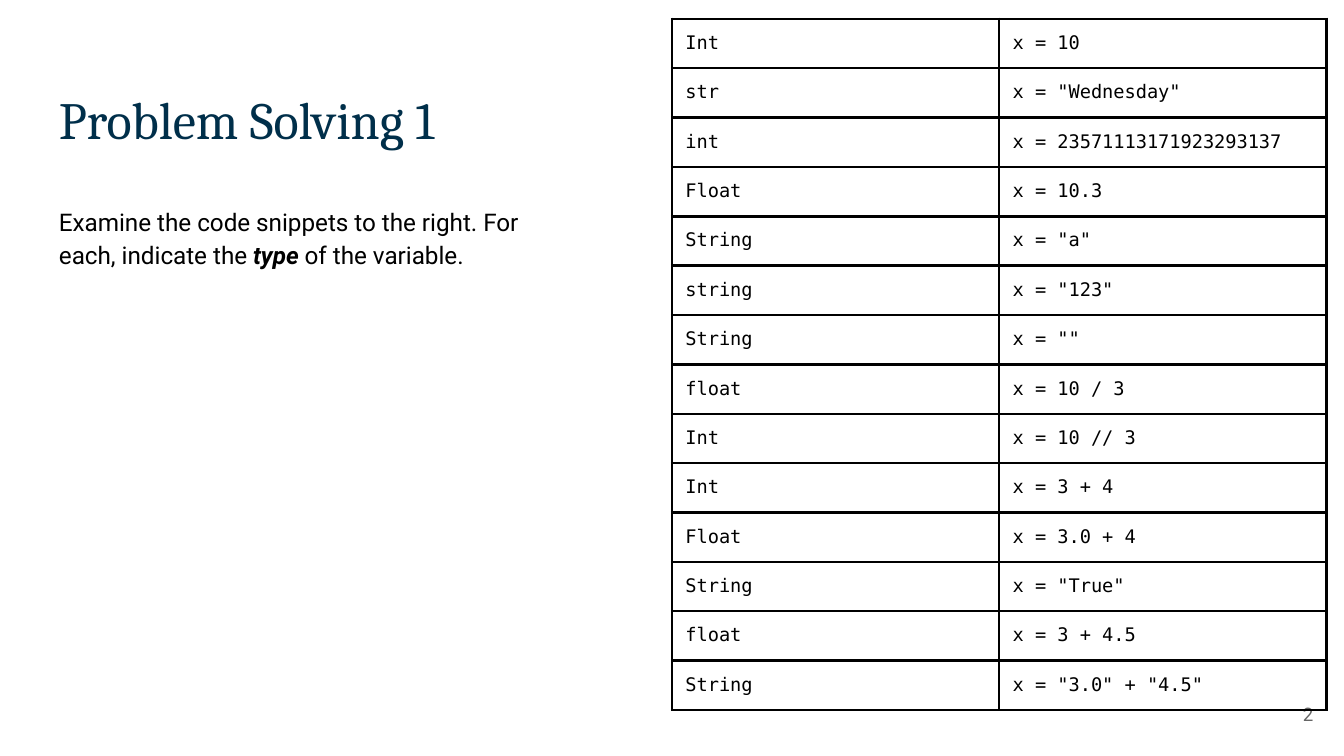
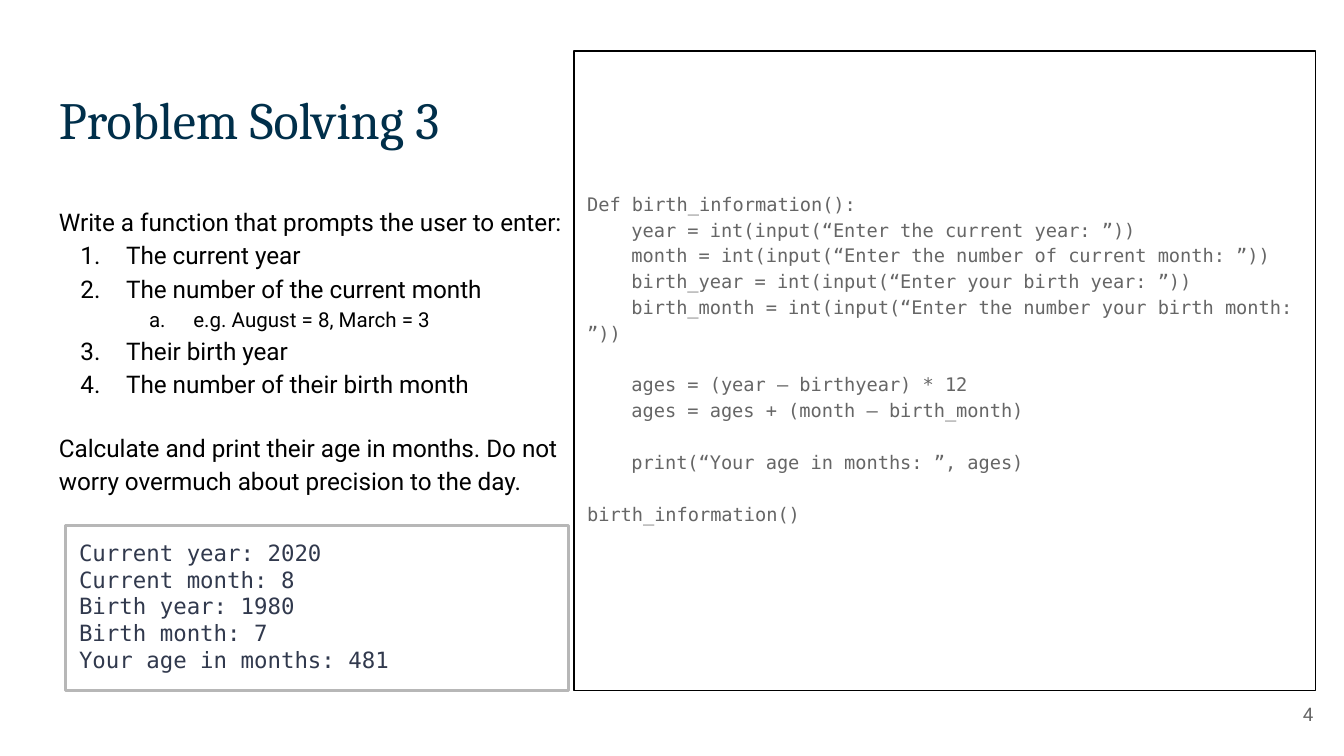
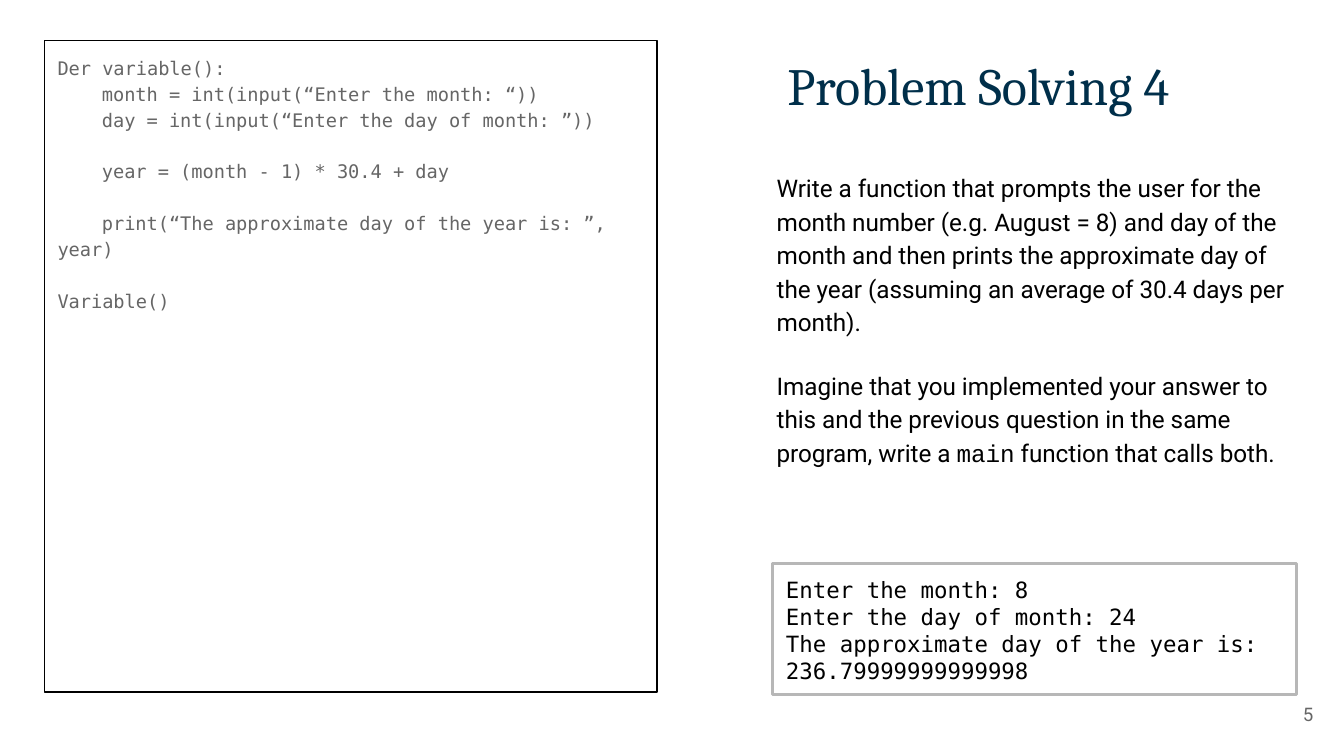
from lxml import etree
from pptx import Presentation
from pptx.dml.color import RGBColor
from pptx.enum.shapes import MSO_SHAPE
from pptx.enum.text import MSO_ANCHOR, PP_ALIGN
from pptx.oxml.ns import qn
from pptx.util import Inches, Pt

RECTANGLE = MSO_SHAPE.RECTANGLE
TOP, MIDDLE = MSO_ANCHOR.TOP, MSO_ANCHOR.MIDDLE
LEFT, RIGHT = PP_ALIGN.LEFT, PP_ALIGN.RIGHT

WHITE = RGBColor(0xFF, 0xFF, 0xFF)
BLACK = RGBColor(0x00, 0x00, 0x00)
NAVY = RGBColor(0x00, 0x2F, 0x4A)
SLATE = RGBColor(0x31, 0x39, 0x4D)
GRAY = RGBColor(0x66, 0x66, 0x66)
SILVER = RGBColor(0xB7, 0xB7, 0xB7)

TITLE_FONT = "Cambria"
BODY_FONT = "Roboto"
CODE_FONT = "DejaVu Sans Mono"
INLINE_CODE_FONT = "Courier New"

SLIDE_WIDTH = Inches(10)
SLIDE_HEIGHT = SLIDE_WIDTH * 9 // 16
PADDING = 0.1
COLUMN_WIDTH = 4.05
BODY_SPACING = 1.15
PARAGRAPH_GAP = 16
CODE_INDENT = 0.33
CODE_GAP = 13.9

TYPE_ROWS = [
    ("Int", "x = 10"),
    ("str", 'x = "Wednesday"'),
    ("int", "x = 23571113171923293137"),
    ("Float", "x = 10.3"),
    ("String", 'x = "a"'),
    ("string", 'x = "123"'),
    ("String", 'x = ""'),
    ("float", "x = 10 / 3"),
    ("Int", "x = 10 // 3"),
    ("Int", "x = 3 + 4"),
    ("Float", "x = 3.0 + 4"),
    ("String", 'x = "True"'),
    ("float", "x = 3 + 4.5"),
    ("String", 'x = "3.0" + "4.5"'),
]

# Code lines are (indent level, blank lines before, text).
BIRTH_CODE = [
    (0, 0, "Def birth_information():"),
    (1, 0, "year = int(input(“Enter the current year: ”))"),
    (1, 0, "month = int(input(“Enter the number of current month: ”))"),
    (1, 0, "birth_year = int(input(“Enter your birth year: ”))"),
    (1, 0, "birth_month = int(input(“Enter the number your birth month: ”))"),
    (1, 1, "ages = (year – birthyear) * 12"),
    (1, 0, "ages = ages + (month – birth_month)"),
    (1, 1, "print(“Your age in months: ”, ages)"),
    (0, 1, "birth_information()"),
]
DAY_CODE = [
    (0, 0, "Der variable():"),
    (1, 0, "month = int(input(“Enter the month: “))"),
    (1, 0, "day = int(input(“Enter the day of month: ”))"),
    (1, 1, "year = (month - 1) * 30.4 + day"),
    (1, 1, "print(“The approximate day of the year is: ”, year)"),
    (0, 1, "Variable()"),
]


def set_padding(target, top=PADDING):
    """Set the inner margins of a text frame or a table cell."""
    target.margin_left = target.margin_right = target.margin_bottom = Inches(PADDING)
    target.margin_top = Inches(top)


def prepare_frame(shape, anchor=TOP, top=PADDING):
    frame = shape.text_frame
    frame.word_wrap = True
    frame.vertical_anchor = anchor
    set_padding(frame, top)
    return frame


def add_text_box(slide, box, anchor=TOP):
    return prepare_frame(slide.shapes.add_textbox(*map(Inches, box)), anchor)


def add_panel(slide, box, line_color, line_width, fill=None, top=PADDING):
    """Add an outlined rectangle and return its text frame."""
    panel = slide.shapes.add_shape(RECTANGLE, *map(Inches, box))
    panel.shadow.inherit = False
    if fill is None:
        panel.fill.background()
    else:
        panel.fill.solid()
        panel.fill.fore_color.rgb = fill
    panel.line.color.rgb = line_color
    panel.line.width = Pt(line_width)
    return prepare_frame(panel, top=top)


def next_paragraph(frame, spacing=None, before=0, after=0, align=LEFT):
    """Return the unused first paragraph of a frame, or a new one."""
    first = frame.paragraphs[0]
    paragraph = frame.add_paragraph() if first.runs else first
    paragraph.alignment = align
    paragraph.line_spacing = spacing
    paragraph.space_before = Pt(before)
    paragraph.space_after = Pt(after)
    return paragraph


def add_run(paragraph, text, size, font, color, emphasis=False):
    run = paragraph.add_run()
    run.text = text
    run.font.size = Pt(size)
    run.font.name = font
    run.font.color.rgb = color
    run.font.bold = run.font.italic = emphasis


def add_body_run(paragraph, text, size=13, font=BODY_FONT, emphasis=False):
    add_run(paragraph, text, size, font, BLACK, emphasis)


def indent_paragraph(paragraph, margin, first_line):
    properties = paragraph._p.get_or_add_pPr()
    properties.set("marL", str(Inches(margin)))
    properties.set("indent", str(Inches(first_line)))
    return properties


def add_color(parent, color):
    etree.SubElement(parent, qn("a:srgbClr")).set("val", str(color))


def add_numbered(frame, text, level=0):
    paragraph = next_paragraph(frame, BODY_SPACING)
    paragraph.level = level
    properties = indent_paragraph(paragraph, 0.5 * (level + 1), (-0.34, -0.33)[level])
    add_color(etree.SubElement(properties, qn("a:buClr")), BLACK)
    numbering = etree.SubElement(properties, qn("a:buAutoNum"))
    numbering.set("type", ("arabicPeriod", "alphaLcPeriod")[level])
    add_body_run(paragraph, text, (13, 11)[level])


def add_title(slide, left, top, text):
    frame = add_text_box(slide, (left, top, COLUMN_WIDTH, 0.7))
    add_run(next_paragraph(frame), text, 28, TITLE_FONT, NAVY)


def add_page_number(slide, number):
    frame = add_text_box(slide, (9.27, 5.1, 0.6, 0.43), MIDDLE)
    add_run(next_paragraph(frame, align=RIGHT), str(number), 10, BODY_FONT, GRAY)


def add_code_panel(slide, box, code, top=PADDING):
    frame = add_panel(slide, box, BLACK, 0.75, top=top)
    for level, blank_lines, text in code:
        paragraph = next_paragraph(frame, BODY_SPACING, before=blank_lines * CODE_GAP)
        indent_paragraph(paragraph, 0, level * CODE_INDENT)
        add_run(paragraph, text, 10, CODE_FONT, GRAY)


def add_output_panel(slide, box, lines, color):
    frame = add_panel(slide, box, SILVER, 1.5, fill=WHITE)
    for text in lines:
        add_run(next_paragraph(frame), text, 12, CODE_FONT, color)


def add_cell_borders(cell, color, width):
    properties = cell._tc.get_or_add_tcPr()
    for side in ("a:lnL", "a:lnR", "a:lnT", "a:lnB"):
        line = etree.SubElement(properties, qn(side))
        line.set("w", str(Pt(width)))
        add_color(etree.SubElement(line, qn("a:solidFill")), color)


def add_type_table(slide, box, rows):
    table = slide.shapes.add_table(len(rows), len(rows[0]), *map(Inches, box)).table
    table.first_row = table.horz_banding = False
    for row_index, texts in enumerate(rows):
        for column_index, text in enumerate(texts):
            cell = table.cell(row_index, column_index)
            set_padding(cell)
            add_cell_borders(cell, BLACK, 1.5)
            cell.fill.background()
            paragraph = next_paragraph(cell.text_frame)
            add_run(paragraph, text, 10, CODE_FONT, BLACK)


def add_slide(presentation):
    slide = presentation.slides.add_slide(presentation.slide_layouts[6])
    slide.background.fill.solid()
    slide.background.fill.fore_color.rgb = WHITE
    return slide


def build_types_slide(presentation):
    slide = add_slide(presentation)
    add_title(slide, 0.34, 0.55, "Problem Solving 1")
    frame = add_text_box(slide, (0.34, 1.41, COLUMN_WIDTH, 0.67))
    task = next_paragraph(frame, BODY_SPACING, after=PARAGRAPH_GAP)
    add_body_run(task, "Examine the code snippets to the right. For each, indicate the ")
    add_body_run(task, "type", emphasis=True)
    add_body_run(task, " of the variable.")
    add_page_number(slide, 2)
    add_type_table(slide, (5, 0.14, 4.87, 5.13), TYPE_ROWS)


def build_age_slide(presentation):
    slide = add_slide(presentation)
    add_title(slide, 0.34, 0.55, "Problem Solving 3")
    frame = add_text_box(slide, (0.34, 1.41, COLUMN_WIDTH, 2.33))
    add_body_run(next_paragraph(frame, BODY_SPACING),
                 "Write a function that prompts the user to enter:")
    add_numbered(frame, "The current year")
    add_numbered(frame, "The number of the current month")
    add_numbered(frame, "e.g. August = 8, March = 3", level=1)
    add_numbered(frame, "Their birth year")
    add_numbered(frame, "The number of their birth month")
    add_body_run(next_paragraph(frame, BODY_SPACING, PARAGRAPH_GAP, PARAGRAPH_GAP),
                 "Calculate and print their age in months. Do not worry overmuch "
                 "about precision to the day.")
    add_page_number(slide, 4)
    add_output_panel(slide, (0.49, 3.91, 3.74, 1.23), [
        "Current year: 2020",
        "Current month: 8",
        "Birth year: 1980",
        "Birth month: 7",
        "Your age in months: 481",
    ], SLATE)
    add_code_panel(slide, (4.27, 0.38, 5.52, 4.76), BIRTH_CODE, top=1.03)


def build_day_slide(presentation):
    slide = add_slide(presentation)
    add_title(slide, 5.76, 0.3, "Problem Solving 4")
    add_page_number(slide, 5)
    frame = add_text_box(slide, (5.68, 1.16, COLUMN_WIDTH, 2.41))
    add_body_run(next_paragraph(frame, BODY_SPACING),
                 "Write a function that prompts the user for the month number "
                 "(e.g. August = 8) and day of the month and then prints the "
                 "approximate day of the year (assuming an average of 30.4 days "
                 "per month).")
    follow_up = next_paragraph(frame, BODY_SPACING, PARAGRAPH_GAP, PARAGRAPH_GAP)
    add_body_run(follow_up, "Imagine that you implemented your answer to this and the "
                            "previous question in the same program, write a ")
    add_body_run(follow_up, "main", font=INLINE_CODE_FONT)
    add_body_run(follow_up, " function that calls both.")
    add_output_panel(slide, (5.75, 4.19, 3.9, 0.98), [
        "Enter the month: 8",
        "Enter the day of month: 24",
        "The approximate day of the year is: 236.79999999999998",
    ], BLACK)
    add_code_panel(slide, (0.33, 0.3, 4.56, 4.85), DAY_CODE)


def main():
    presentation = Presentation()
    presentation.slide_width = SLIDE_WIDTH
    presentation.slide_height = SLIDE_HEIGHT
    build_types_slide(presentation)
    build_age_slide(presentation)
    build_day_slide(presentation)
    presentation.save("out.pptx")


if __name__ == "__main__":
    main()
